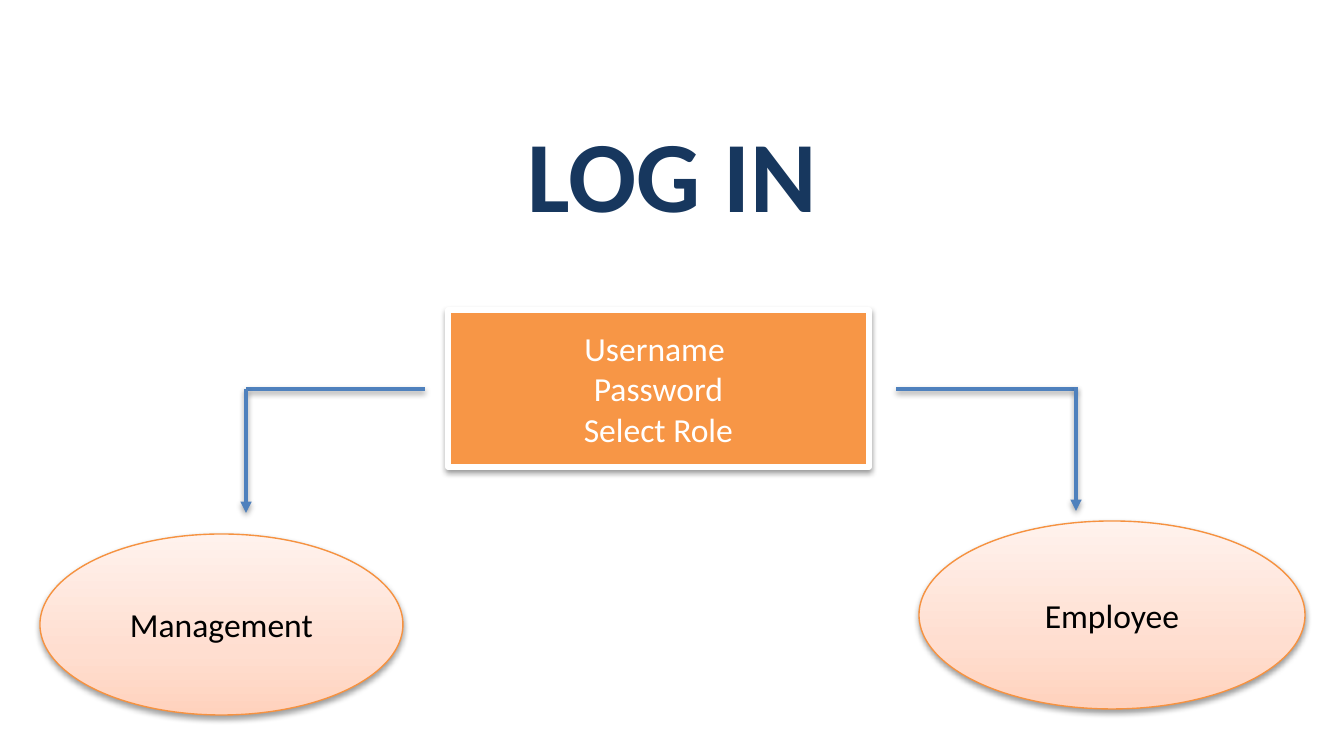
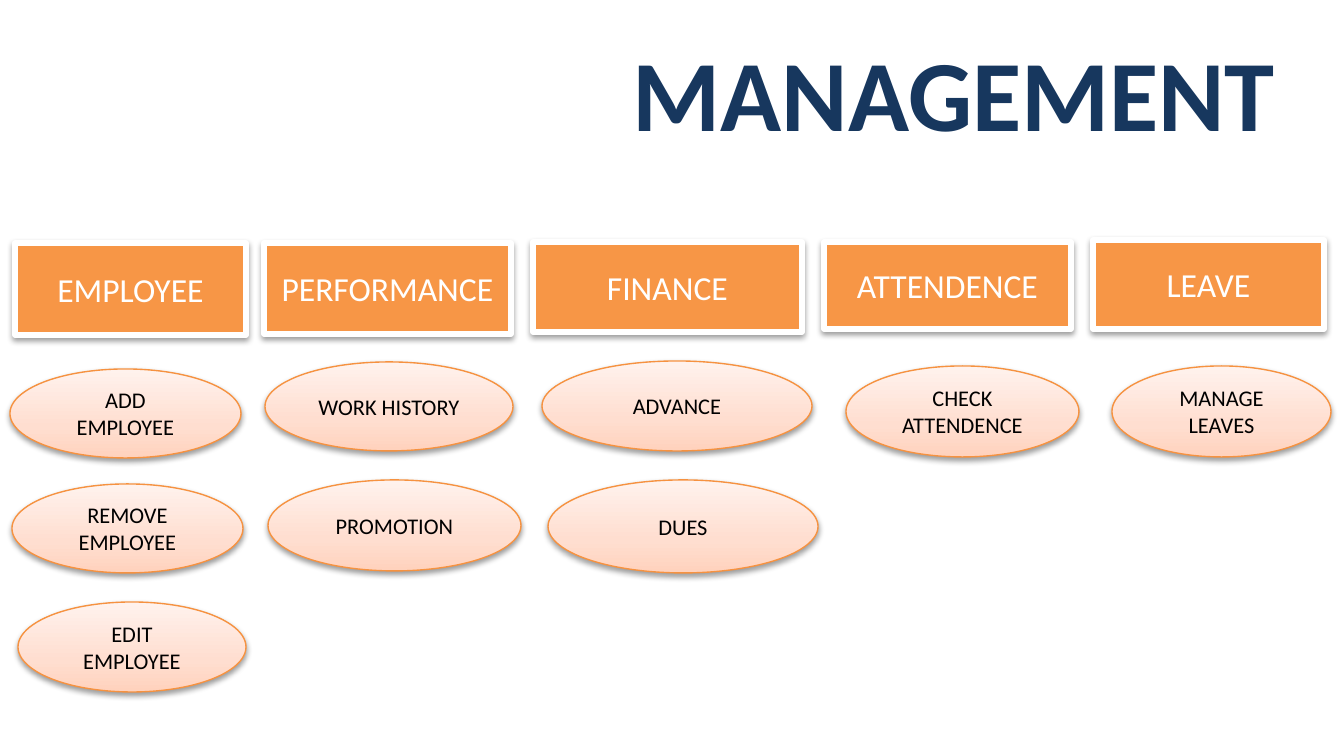
from pptx import Presentation
from pptx.dml.color import RGBColor
from pptx.enum.shapes import MSO_CONNECTOR, MSO_SHAPE
from pptx.enum.text import MSO_ANCHOR, PP_ALIGN
from pptx.oxml import parse_xml
from pptx.oxml.ns import nsdecls
from pptx.util import Emu, Pt

# Content: boxes are (left, top, width, height) in pixels
LOGIN = {
    "title": ("LOG IN", (67, 109, 1210, 126)),
    "form": ("Username \nPassword\nSelect Role", (448, 310, 421, 157)),
    "roles": [("Management", (40, 534, 363, 181)),
              ("Employee", (919, 521, 386, 188))],
    # from x, from y, to x, to y, arrowhead
    "lines": [(425, 389, 246, 389, False), (1077, 389, 896, 389, False),
              (246, 389, 246, 513, True), (1076, 387, 1076, 511, True)],
}
MANAGEMENT = {
    "title": ("MANAGEMENT", (550, 28, 808, 126)),
    "modules": [
        ("EMPLOYEE", (15, 243, 231, 92), [
            ("ADD EMPLOYEE", (10, 369, 231, 89)),
            ("REMOVE EMPLOYEE", (12, 484, 231, 89)),
            ("EDIT EMPLOYEE", (18, 602, 228, 90))]),
        ("PERFORMANCE", (264, 243, 247, 91), [
            ("WORK HISTORY", (265, 362, 248, 89)),
            ("PROMOTION", (268, 480, 253, 91))]),
        ("FINANCE", (533, 242, 269, 90), [
            ("ADVANCE", (542, 361, 270, 90)),
            ("DUES", (548, 480, 270, 93))]),
        ("ATTENDENCE", (824, 242, 247, 87), [
            ("CHECK ATTENDENCE", (846, 366, 233, 91))]),
        ("LEAVE", (1093, 240, 231, 89), [
            ("MANAGE LEAVES", (1112, 366, 219, 91))]),
    ],
}

# Shared style
COLORS = {"title": "17375E", "box": "F79646", "white": "FFFFFF",
          "black": "000000", "rim": "F69240", "line": "4F81BD"}
PEACH = [(0, "FFD2BD"), (35, "FFDED0"), (100, "FFF2ED")]
FONT = "Calibri"
SCALE = 914400 / 134.4


def px(*values):
    return [Emu(round(v * SCALE)) for v in values]


def rgb(name):
    return RGBColor.from_string(COLORS[name])


def xml(tag, attrs, inner):
    return parse_xml(f'<a:{tag} {nsdecls("a")} {attrs}>{inner}</a:{tag}>')


def solid(name):
    return f'<a:solidFill><a:srgbClr val="{COLORS[name]}"/></a:solidFill>'


def add_shadow(shape):
    shape._element.spPr.append(xml(
        "effectLst", "",
        '<a:outerShdw blurRad="40000" dist="20000" dir="5400000" rotWithShape="0">'
        f'<a:srgbClr val="{COLORS["black"]}"><a:alpha val="38000"/></a:srgbClr>'
        '</a:outerShdw>'))


def write(shape, text, size, color, bold=False):
    tf = shape.text_frame
    tf.word_wrap = True
    tf.vertical_anchor = MSO_ANCHOR.MIDDLE
    tf.text = text
    for p in tf.paragraphs:
        p.alignment = PP_ALIGN.CENTER
        for r in p.runs:
            r.font.name, r.font.size, r.font.bold = FONT, Pt(size), bold
            r.font.color.rgb = rgb(color)


def add_title(s, text, box):
    tb = s.shapes.add_textbox(*px(*box))
    write(tb, text, 54, "title", True)
    r = tb.text_frame.paragraphs[0].runs[0]
    r.font._element.insert(0, xml("ln", f'w="{Pt(1.06)}"', solid("white")))


def add_box(s, text, box):
    sp = s.shapes.add_shape(MSO_SHAPE.RECTANGLE, *px(*box))
    sp.fill.solid()
    sp.fill.fore_color.rgb = rgb("box")
    sp.line.color.rgb = rgb("white")
    sp.line.width = Pt(3)
    add_shadow(sp)
    write(sp, text, 18, "white")


def add_oval(s, text, box, size):
    sp = s.shapes.add_shape(MSO_SHAPE.OVAL, *px(*box))
    stops = "".join(f'<a:gs pos="{pos * 1000}"><a:srgbClr val="{c}"/></a:gs>'
                    for pos, c in PEACH)
    sp._element.spPr.append(xml(
        "gradFill", 'rotWithShape="1"',
        f'<a:gsLst>{stops}</a:gsLst><a:lin ang="16200000" scaled="0"/>'))
    sp.line.color.rgb = rgb("rim")
    sp.line.width = Pt(0.75)
    add_shadow(sp)
    write(sp, text, size, "black")


def add_line(s, x1, y1, x2, y2, arrow):
    cn = s.shapes.add_connector(MSO_CONNECTOR.STRAIGHT, *px(x1, y1, x2, y2))
    cn.line.color.rgb = rgb("line")
    cn.line.width = Pt(2)
    if arrow:
        cn.line._get_or_add_ln().append(xml("tailEnd", 'type="triangle"', ""))
    add_shadow(cn)


prs = Presentation()
prs.slide_width, prs.slide_height = px(1344, 756)
blank = prs.slide_layouts[6]

# Log in slide
s = prs.slides.add_slide(blank)
add_title(s, *LOGIN["title"])
add_box(s, *LOGIN["form"])
for role, box in LOGIN["roles"]:
    add_oval(s, role, box, 18)
for line in LOGIN["lines"]:
    add_line(s, *line)

# Management slide
s = prs.slides.add_slide(blank)
add_title(s, *MANAGEMENT["title"])
for module, box, actions in MANAGEMENT["modules"]:
    add_box(s, module, box)
    for action, oval in actions:
        add_oval(s, action, oval, 12)

prs.save("out.pptx")
